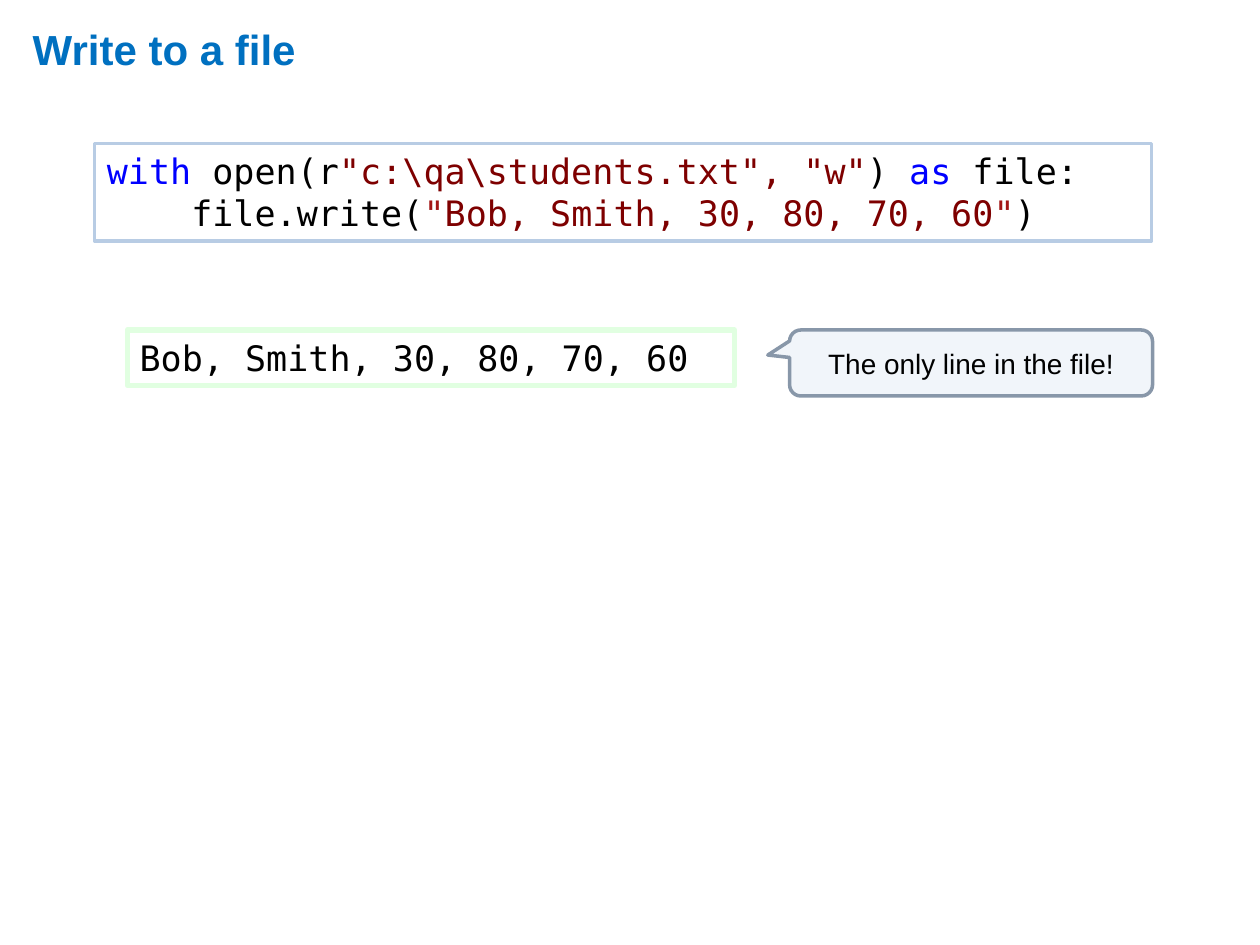
from pptx import Presentation
from pptx.dml.color import RGBColor
from pptx.enum import shapes, text
from pptx.util import Pt

BLACK = RGBColor(0x00, 0x00, 0x00)
WHITE = RGBColor(0xFF, 0xFF, 0xFF)
TITLE_BLUE = RGBColor(0x00, 0x70, 0xC0)
KEYWORD = RGBColor(0x00, 0x00, 0xFF)
STRING = RGBColor(0x7E, 0x00, 0x00)
QUOTE = RGBColor(0xA3, 0x15, 0x15)
CODE_BORDER = RGBColor(0xB8, 0xCC, 0xE4)
OUTPUT_BORDER = RGBColor(0xE1, 0xFF, 0xE1)
CALLOUT_FILL = RGBColor(0xF1, 0xF5, 0xFA)
CALLOUT_BORDER = RGBColor(0x88, 0x97, 0xA9)
SANS, MONO = "Arial", "DejaVu Sans Mono"

TITLE = "Write to a file"
RECORD = "Bob, Smith, 30, 80, 70, 60"
CODE = [
    [("with ", KEYWORD), ("open(r", BLACK), (r'"c:\qa\students.txt", "w"', STRING),
     (") ", BLACK), ("as", KEYWORD), (" file:", BLACK)],
    [("    file.write(", BLACK), ('"', QUOTE), (RECORD, STRING), ('"', QUOTE), (")", BLACK)],
]
OUTPUT = [[(RECORD, BLACK)]]
REMARK = [[("The only line in the file!", BLACK)]]


def add_box(slide, kind, bounds, fill, border, width, lines, font_name, font_size):
    shape = slide.shapes.add_shape(kind, *map(Pt, bounds))
    shape.shadow.inherit = False
    shape.fill.solid()
    shape.fill.fore_color.rgb = fill
    shape.line.color.rgb = border
    shape.line.width = Pt(width)
    frame = shape.text_frame
    frame.word_wrap = True
    frame.vertical_anchor = text.MSO_ANCHOR.TOP
    for number, line in enumerate(lines):
        paragraph = frame.add_paragraph() if number else frame.paragraphs[0]
        paragraph.alignment = text.PP_ALIGN.LEFT
        paragraph.font.name = font_name
        paragraph.font.size = Pt(font_size)
        for words, color in line:
            run = paragraph.add_run()
            run.text = words
            run.font.color.rgb = color
    return shape


def add_title(slide):
    title = slide.shapes.title
    title.left, title.top, title.width, title.height = map(Pt, (11.5, 8, 692, 39.6))
    frame = title.text_frame
    frame.text = TITLE
    frame.auto_size = text.MSO_AUTO_SIZE.NONE
    frame.vertical_anchor = text.MSO_ANCHOR.MIDDLE
    paragraph = frame.paragraphs[0]
    paragraph.alignment = text.PP_ALIGN.LEFT
    paragraph.font.name = SANS
    paragraph.font.size = Pt(24)
    paragraph.font.bold = True
    paragraph.font.color.rgb = TITLE_BLUE


def main():
    presentation = Presentation()
    presentation.slide_width, presentation.slide_height = Pt(720), Pt(540)
    slide = presentation.slides.add_slide(presentation.slide_layouts[5])
    add_title(slide)

    rectangle = shapes.MSO_SHAPE.RECTANGLE
    output = add_box(slide, rectangle, (72.7, 188.6, 347, 31.7), WHITE, OUTPUT_BORDER, 3,
                     OUTPUT, MONO, 20)
    code = add_box(slide, rectangle, (54, 82, 604, 55.7), WHITE, CODE_BORDER, 2,
                   CODE, MONO, 20)
    for box in (output, code):
        box.text_frame.auto_size = text.MSO_AUTO_SIZE.SHAPE_TO_FIT_TEXT

    callout = add_box(slide, shapes.MSO_SHAPE.ROUNDED_RECTANGULAR_CALLOUT,
                      (451.2, 188.6, 207.4, 37.7), CALLOUT_FILL, CALLOUT_BORDER, 2,
                      REMARK, SANS, 16)
    for index, value in enumerate((-0.56, -0.12, 0.17)):
        callout.adjustments[index] = value
    callout.text_frame.vertical_anchor = text.MSO_ANCHOR.MIDDLE
    callout.text_frame.paragraphs[0].alignment = text.PP_ALIGN.CENTER

    presentation.save("out.pptx")


if __name__ == "__main__":
    main()
